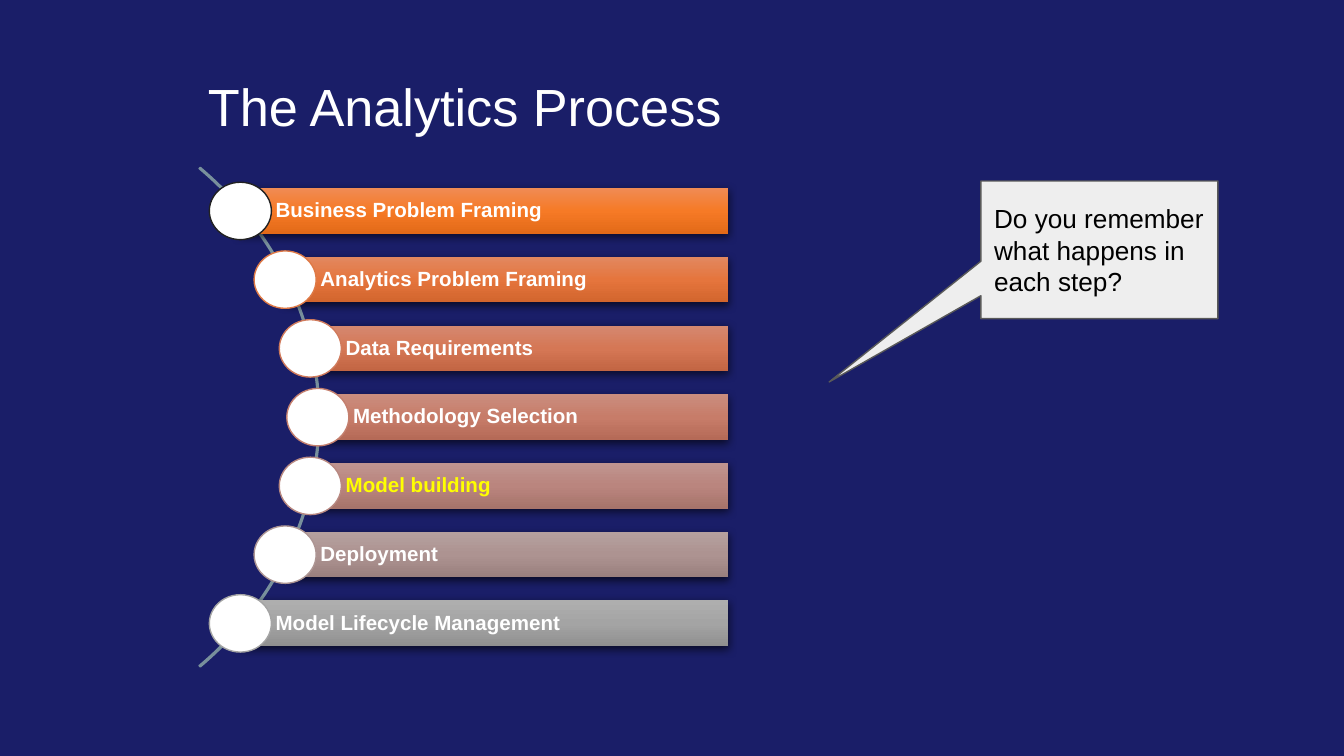
from copy import deepcopy

from lxml import etree
from pptx import Presentation
from pptx.dml.color import RGBColor
from pptx.enum.shapes import MSO_SHAPE
from pptx.enum.text import MSO_ANCHOR, PP_ALIGN
from pptx.oxml.ns import qn
from pptx.util import Pt

RECTANGLE = MSO_SHAPE.RECTANGLE
OVAL = MSO_SHAPE.OVAL
BLOCK_ARC = MSO_SHAPE.BLOCK_ARC
CALLOUT = MSO_SHAPE.RECTANGULAR_CALLOUT
MIDDLE = MSO_ANCHOR.MIDDLE
LEFT = PP_ALIGN.LEFT

COLORS = {
    "background": "1A1E68",
    "white": "FFFFFF",
    "black": "000000",
    "highlight": "FFFF00",
    "arc": "78909C",
    "callout": "EEEEEE",
    "callout_line": "595959",
}
BAR_GRADIENTS = {
    "Business Problem Framing": ("F08B54", "F67A26", "E36A18"),
    "Analytics Problem Framing": ("E28860", "E5753D", "D2652D"),
    "Data Requirements": ("D58870", "D57755", "C26543"),
    "Methodology Selection": ("CA8D7E", "C77C69", "B56A57"),
    "Model building": ("BF948F", "BA857E", "A7746B"),
    "Deployment": ("B5A09E", "AD9391", "9A807E"),
    "Model Lifecycle Management": ("AEAEAE", "A4A4A4", "909090"),
}
RING_COLORS = {
    "Business Problem Framing": "212121",
    "Analytics Problem Framing": "DE7946",
    "Data Requirements": "D07A5B",
    "Methodology Selection": "C47F6E",
    "Model building": "B88881",
    "Deployment": "AD9593",
    "Model Lifecycle Management": "A4A4A4",
}
INDENTS = (0, 24, 37.5, 41.5, 37.5, 24, 0)
BAR_LEFT, BAR_RIGHT, BAR_TOP, BAR_HEIGHT, BAR_PITCH = 128.75, 390, 100.75, 24.5, 36.83
DOT_WIDTH, DOT_HEIGHT = 33.25, 30.75


class ProcessSlide:
    """Holds the style and the current slide, and draws each kind of element."""

    font_name = "Arial"

    def __init__(self, slide):
        self.slide = slide
        fill = slide.background.fill
        fill.solid()
        fill.fore_color.rgb = RGBColor.from_string(COLORS["background"])

    def set_text(self, shape, text, size, color, insets, bold=False, spacing=0.9):
        frame = shape.text_frame
        margins = dict(zip(("margin_left", "margin_top", "margin_right", "margin_bottom"), map(Pt, insets)))
        for name, value in {"word_wrap": True, "vertical_anchor": MIDDLE, **margins}.items():
            setattr(frame, name, value)
        paragraph = frame.paragraphs[0]
        for name, value in {"text": text, "alignment": LEFT, "line_spacing": spacing}.items():
            setattr(paragraph, name, value)
        for name, value in {"name": self.font_name, "size": Pt(size), "bold": bold}.items():
            setattr(paragraph.font, name, value)
        paragraph.font.color.rgb = RGBColor.from_string(color)

    def title(self, text, box):
        heading = self.slide.shapes.add_textbox(*map(Pt, box))
        self.set_text(heading, text, 28, COLORS["white"], (2.7, 1.35, 2.7, 1.35))

    def shape(self, kind, box, fill=None, line=None, width=0.75, adjustments=()):
        shape = self.slide.shapes.add_shape(kind, *map(Pt, box))
        for index, value in enumerate(adjustments):
            shape.adjustments[index] = value
        if fill:
            shape.fill.solid()
            shape.fill.fore_color.rgb = RGBColor.from_string(fill)
        else:
            shape.fill.background()
        if line:
            shape.line.color.rgb = RGBColor.from_string(line)
            shape.line.width = Pt(width)
        else:
            shape.line.fill.background()
        shape.shadow.inherit = False
        return shape

    def bar(self, text, box, gradient, color):
        bar = self.shape(RECTANGLE, box)
        bar.fill.gradient()
        bar.fill.gradient_angle = 270
        properties = bar.element.spPr
        stop_list = properties.find(qn("a:gradFill")).find(qn("a:gsLst"))
        stop_list.insert(1, deepcopy(stop_list[0]))
        for stop, position, shade in zip(bar.fill.gradient_stops, (0, 0.5, 1), gradient):
            stop.position = position
            stop.color.rgb = RGBColor.from_string(shade)
        shadow = etree.SubElement(
            properties.find(qn("a:effectLst")), qn("a:outerShdw"),
            blurRad=str(Pt(4.5)), dist=str(Pt(1.5)), dir="5400000", algn="ctr", rotWithShape="0")
        shadow_color = etree.SubElement(shadow, qn("a:srgbClr"), val=COLORS["black"])
        etree.SubElement(shadow_color, qn("a:alpha"), val="62000")
        self.set_text(bar, text, 11, color, (18.9, 2.1, 2.1, 2.1), bold=True)

    def callout(self, text, box, tip):
        callout = self.shape(CALLOUT, box, COLORS["callout"], COLORS["callout_line"], adjustments=tip)
        self.set_text(callout, text, 14, COLORS["black"], (7.2,) * 4, spacing=1.0)


def main():
    presentation = Presentation()
    presentation.slide_width, presentation.slide_height = Pt(720), Pt(405)
    process = ProcessSlide(presentation.slides.add_slide(presentation.slide_layouts[6]))

    process.title("The Analytics Process", (108.75, 20.75, 512, 76.25))
    process.shape(BLOCK_ARC, (-224, 42, 395.25, 363), line=COLORS["arc"], width=1, adjustments=(189, 27, 0.002))
    for row, (step, gradient) in enumerate(BAR_GRADIENTS.items()):
        left = BAR_LEFT + INDENTS[row]
        top = BAR_TOP + row * BAR_PITCH
        color = COLORS["highlight" if step == "Model building" else "white"]
        process.bar(step, (left, top, BAR_RIGHT - left, BAR_HEIGHT), gradient, color)
        dot_box = (left - DOT_WIDTH / 2, top + (BAR_HEIGHT - DOT_HEIGHT) / 2, DOT_WIDTH, DOT_HEIGHT)
        process.shape(OVAL, dot_box, COLORS["white"], RING_COLORS[step])
    process.callout("Do you remember what happens in each step?", (525.5, 97, 127, 73.75), (-1.14, 0.96))

    presentation.save("out.pptx")


if __name__ == "__main__":
    main()
